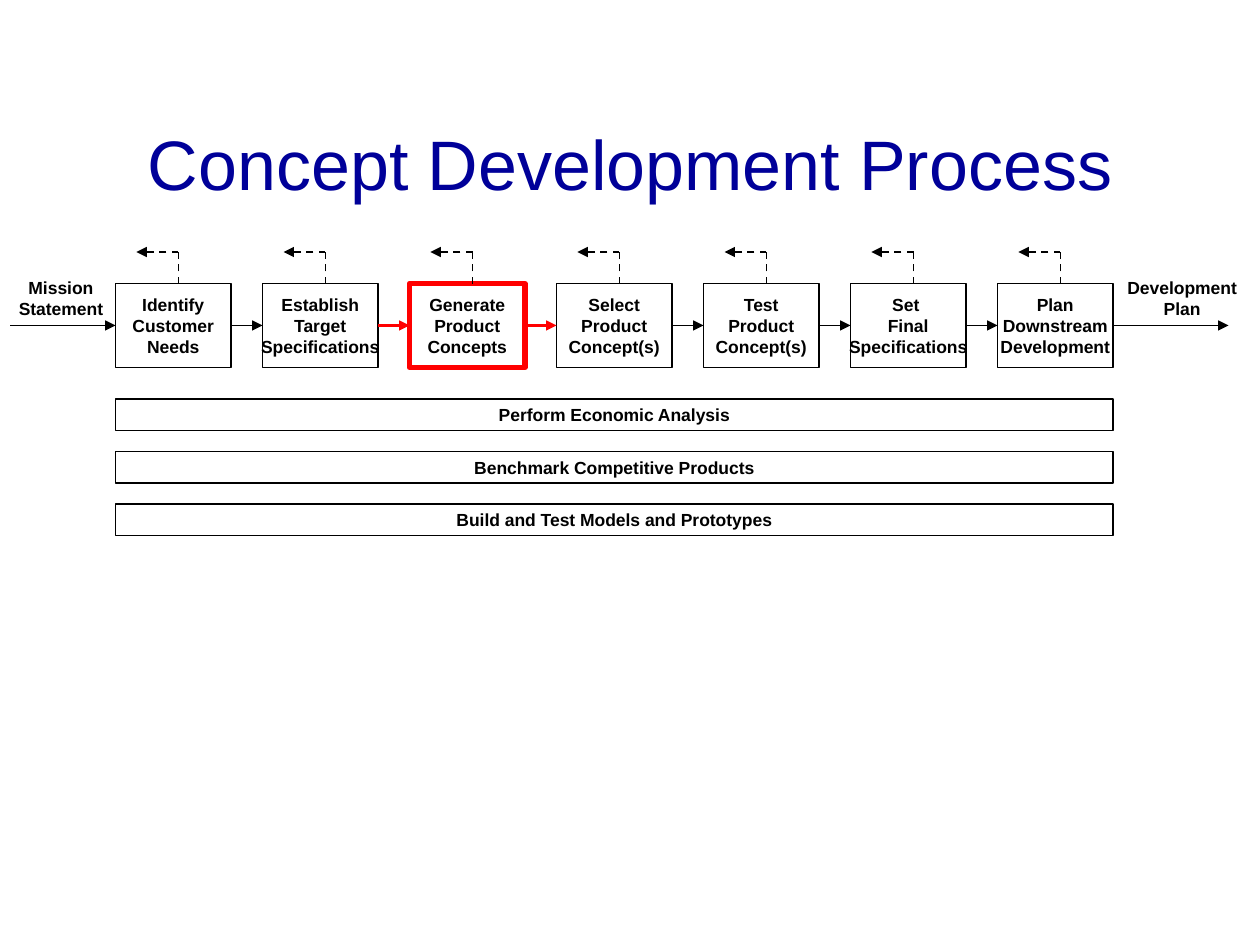
from dataclasses import dataclass
from typing import Optional

from lxml.etree import SubElement
from pptx import Presentation
from pptx.dml.color import RGBColor
from pptx.enum.dml import MSO_LINE
from pptx.enum.shapes import MSO_CONNECTOR, MSO_SHAPE
from pptx.enum.text import MSO_ANCHOR, MSO_AUTO_SIZE, PP_ALIGN
from pptx.oxml.ns import qn
from pptx.shapes.autoshape import Shape
from pptx.shapes.connector import Connector
from pptx.util import Pt

BLACK = RGBColor(0x00, 0x00, 0x00)
RED = RGBColor(0xFF, 0x00, 0x00)
NAVY = RGBColor(0x00, 0x00, 0x99)

LABEL_FONT = {"name": "Arial", "size": Pt(10), "bold": True}
TITLE_FONT = {"name": "Arial", "size": Pt(40), "bold": False}

STEP_LEFT, STEP_TOP, STEP_WIDTH, STEP_HEIGHT = 66, 162, 66, 48
STEP_PITCH = 84
FLOW_Y = STEP_TOP + STEP_HEIGHT / 2
FLOW_START, FLOW_END = 6, 702
FEEDBACK_Y = 144
BAR_TOP, BAR_HEIGHT, BAR_PITCH = 228, 18, 30
TOP, LEFT, BOTTOM, RIGHT = range(4)


@dataclass
class Step:
    label: str
    highlighted: bool = False


@dataclass
class Area:
    left: float
    top: float
    width: float
    height: float

    def lengths(self) -> list:
        return [Pt(v) for v in (self.left, self.top, self.width, self.height)]


STEPS = [
    Step("Identify\nCustomer\nNeeds"),
    Step("Establish\nTarget\nSpecifications"),
    Step("Generate\nProduct\nConcepts", highlighted=True),
    Step("Select\nProduct\nConcept(s)"),
    Step("Test\nProduct\nConcept(s)"),
    Step("Set \vFinal\nSpecifications"),
    Step("Plan\nDownstream\nDevelopment"),
]
ONGOING_ACTIVITIES = [
    "Perform Economic Analysis",
    "Benchmark Competitive Products",
    "Build and Test Models and Prototypes",
]


def write_text(shape: Shape, text: str, font_format: dict, color: RGBColor,
               frame_format: dict) -> None:
    frame = shape.text_frame
    frame.text = text
    for name, value in frame_format.items():
        setattr(frame, name, value)
    for paragraph in frame.paragraphs:
        paragraph.alignment = PP_ALIGN.CENTER
        for name, value in font_format.items():
            setattr(paragraph.font, name, value)
        paragraph.font.color.rgb = color


def add_box(shapes, area: Area, text: str, color: RGBColor = BLACK,
            weight: float = 1) -> Shape:
    box = shapes.add_shape(MSO_SHAPE.RECTANGLE, *area.lengths())
    box.shadow.inherit = False
    box.fill.background()
    box.line.color.rgb = color
    box.line.width = Pt(weight)
    write_text(box, text, LABEL_FONT, BLACK,
               {"word_wrap": False, "vertical_anchor": MSO_ANCHOR.MIDDLE})
    return box


def add_line(shapes, start: tuple, end: tuple, color: RGBColor = BLACK,
             weight: float = 1, dash: Optional[MSO_LINE] = None,
             arrow: bool = True) -> Connector:
    line = shapes.add_connector(MSO_CONNECTOR.STRAIGHT,
                                *(Pt(v) for v in start + end))
    line.line.color.rgb = color
    line.line.width = Pt(weight)
    if dash is not None:
        line.line.dash_style = dash
    properties = line._element.spPr
    if arrow:
        SubElement(properties.find(qn("a:ln")), qn("a:tailEnd"), type="triangle")
    SubElement(properties, qn("a:effectLst"))
    return line


def add_feedback(shapes, step_left: float) -> None:
    """Draw the dashed elbow that leads back from a step."""
    group = shapes.add_group_shape().shapes
    corner = (step_left + 36, FEEDBACK_Y)
    add_line(group, (corner[0], STEP_TOP), corner, dash=MSO_LINE.DASH, arrow=False)
    add_line(group, corner, (step_left + 12, FEEDBACK_Y), dash=MSO_LINE.DASH)


def add_caption(shapes, area: Area, text: str, wrap: bool) -> None:
    caption = shapes.add_textbox(*area.lengths())
    write_text(caption, text, LABEL_FONT, BLACK,
               {"word_wrap": wrap, "auto_size": MSO_AUTO_SIZE.SHAPE_TO_FIT_TEXT})


def add_flow(shapes) -> None:
    """Draw the steps, the arrows through them and their feedback."""
    lefts = [STEP_LEFT + i * STEP_PITCH for i in range(len(STEPS))]
    boxes = []
    for step, left in zip(STEPS, lefts):
        style = (RED, 3) if step.highlighted else (BLACK, 1)
        area = Area(left, STEP_TOP, STEP_WIDTH, STEP_HEIGHT)
        boxes.append(add_box(shapes, area, step.label, *style))

    for i, left in enumerate(lefts[1:]):
        touches_highlight = STEPS[i].highlighted or STEPS[i + 1].highlighted
        style = (RED, 1.5) if touches_highlight else (BLACK, 1)
        arrow = add_line(shapes, (lefts[i] + STEP_WIDTH, FLOW_Y), (left, FLOW_Y), *style)
        arrow.begin_connect(boxes[i], RIGHT)
        arrow.end_connect(boxes[i + 1], LEFT)

    outflow = add_line(shapes, (lefts[-1] + STEP_WIDTH, FLOW_Y), (FLOW_END, FLOW_Y))
    outflow.begin_connect(boxes[-1], RIGHT)
    inflow = add_line(shapes, (FLOW_START, FLOW_Y), (STEP_LEFT, FLOW_Y))
    inflow.end_connect(boxes[0], LEFT)

    for left in lefts:
        add_feedback(shapes, left)


def main() -> None:
    presentation = Presentation()
    presentation.slide_width, presentation.slide_height = Pt(720), Pt(540)
    shapes = presentation.slides.add_slide(presentation.slide_layouts[6]).shapes

    title = shapes.add_textbox(*Area(54, 48, 612, 90).lengths())
    write_text(title, "Concept Development Process", TITLE_FONT, NAVY,
               {"word_wrap": True, "vertical_anchor": MSO_ANCHOR.MIDDLE})

    bar_width = (len(STEPS) - 1) * STEP_PITCH + STEP_WIDTH
    for i, activity in enumerate(ONGOING_ACTIVITIES):
        add_box(shapes, Area(STEP_LEFT, BAR_TOP + i * BAR_PITCH, bar_width, BAR_HEIGHT),
                activity)

    add_caption(shapes, Area(3.6, 154.8, 62.4, 31), "Mission\nStatement", wrap=True)
    add_caption(shapes, Area(637, 154.8, 77, 31), "Development\nPlan", wrap=False)
    add_flow(shapes)

    presentation.save("out.pptx")


if __name__ == "__main__":
    main()
